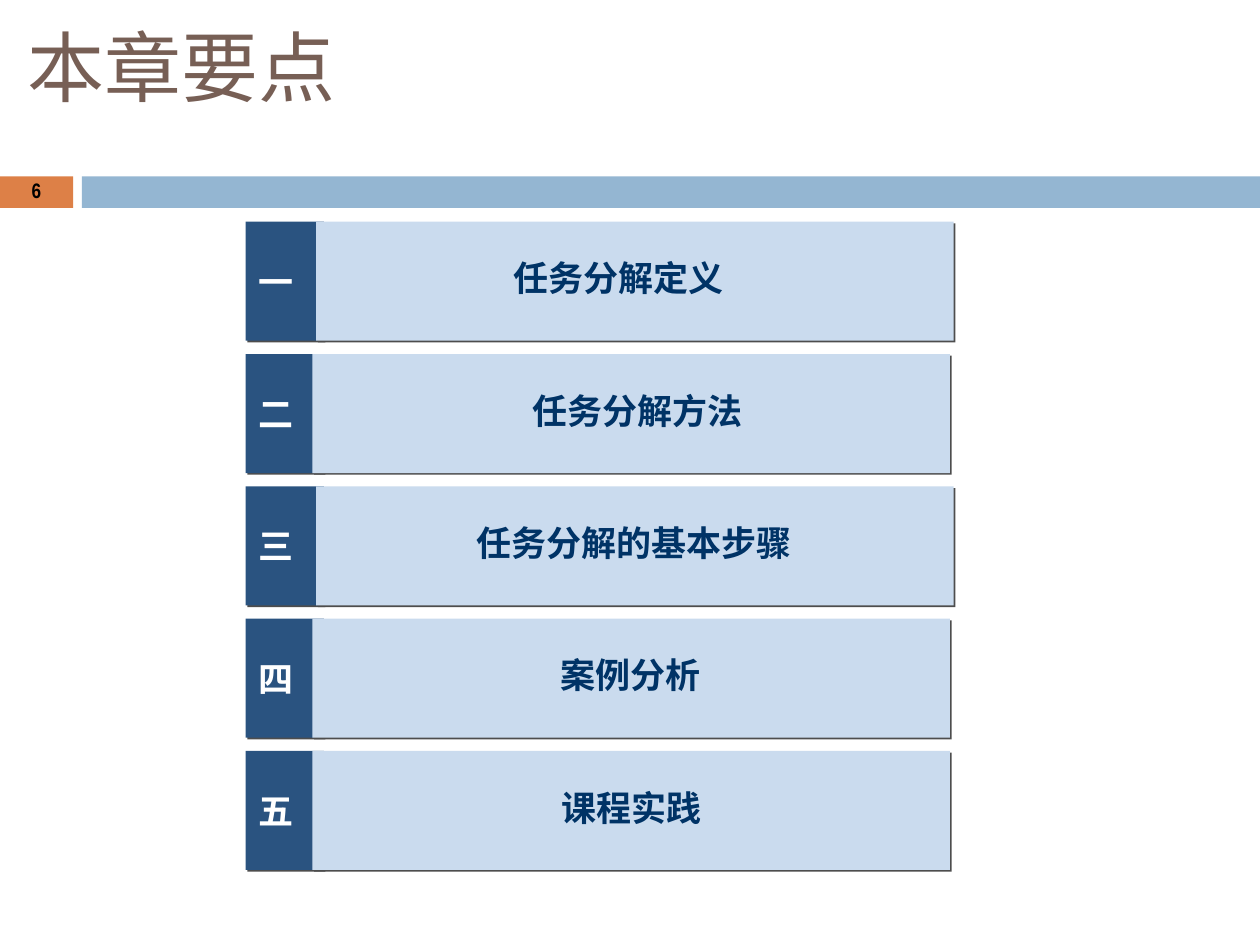
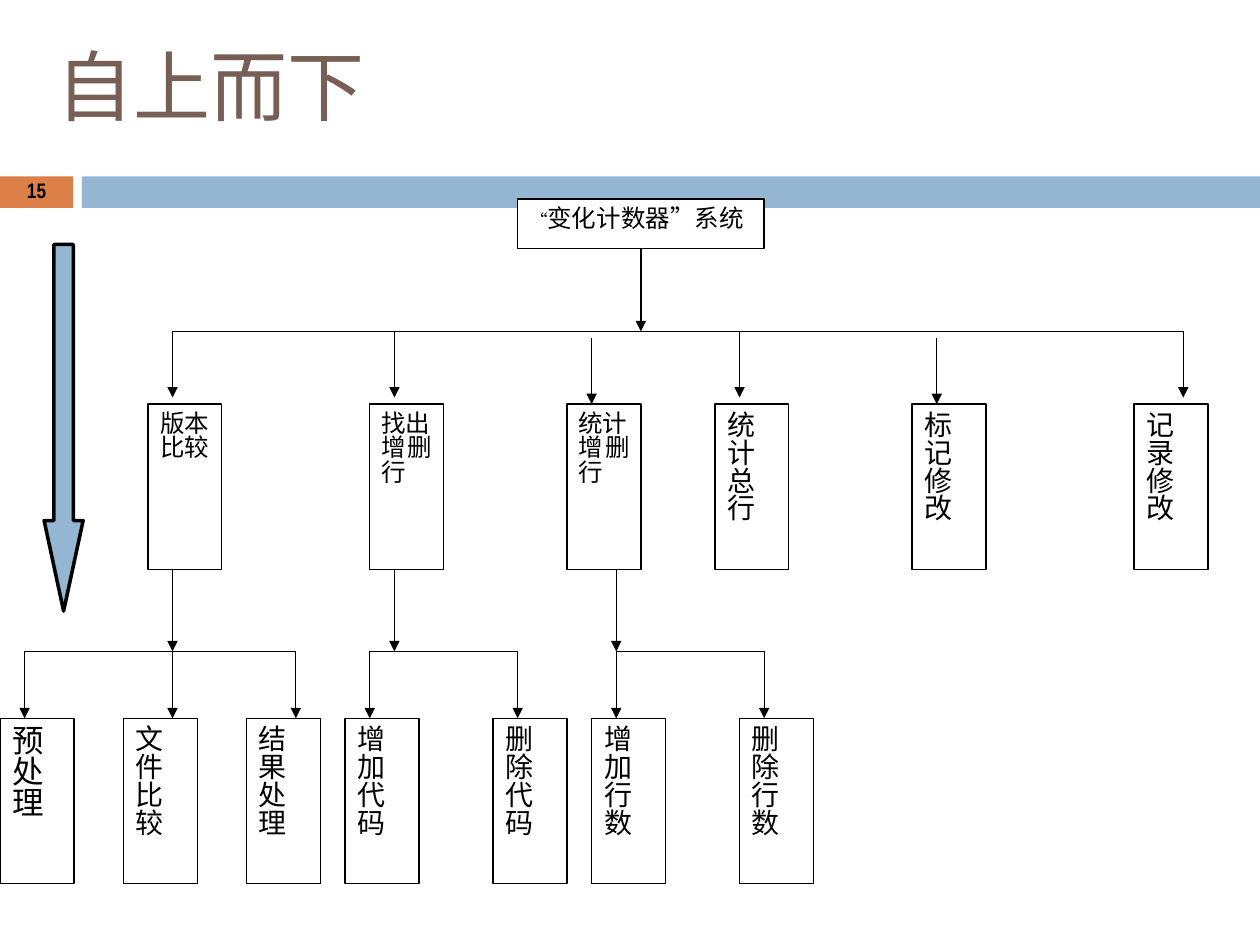
from dataclasses import dataclass

from lxml.etree import SubElement
from pptx import Presentation
from pptx.dml.color import RGBColor
from pptx.enum.shapes import MSO_CONNECTOR, MSO_SHAPE
from pptx.enum.text import MSO_ANCHOR, PP_ALIGN
from pptx.oxml.ns import qn
from pptx.util import Inches, Pt


@dataclass(frozen=True)
class Theme:
    title: str = "775F55"
    tag: str = "DD8047"
    band: str = "94B6D2"
    navy: str = "2A5380"
    pale: str = "CADBEE"
    label: str = "003366"
    shade: str = "4D4D4D"
    ink: str = "000000"
    paper: str = "FFFFFF"
    sans: str = "Noto Sans CJK SC"
    serif: str = "Times New Roman"
    narrow: str = "Arial Narrow"
    head: int = 44
    item: int = 20
    num: int = 12
    quote: int = 10
    small: int = 14
    mid: int = 16
    large: int = 18
    tight: float = 0.83


T = Theme()
WIDE, HIGH = Inches(10), Inches(7.5)

# Tree grid, in percent of the slide's size
COL, ROW, TOP = 90 / 46, 1.75, 21.07
SPAN, TALL = 3, 10
BUS, MID, FORK, LEAF = 8, 12.4, 27.35, 31.4

POINTS = [  # number, label, bar left, label left, label width
    ("一", "任务分解定义", 25.1, 25.1, 48),
    ("二", "任务分解方法", 24.8, 26.6, 48),
    ("三", "任务分解的基本步骤", 25.1, 26.7, 47.3),
    ("四", "案例分析", 24.8, 28, 44.1),
    ("五", "课程实践", 24.8, 28.1, 44.1),
]
STEPS = [  # column, paragraphs, type size, side inset
    (6, ["版本", "比较"], T.small, 0.1),
    (15, ["找出", "增删行"], T.small, 0.09),
    (23, ["统计", "增删行"], T.small, 0.09),
    (29, ["统计总行"], T.mid, 0.1),
    (37, ["标记修改"], T.mid, 0.1),
    (46, ["记录", "修改"], T.mid, 0.1),
]
LEAVES = [
    (0, ["预处理"], T.large, 0.1),
    (5, ["文件比较"], T.mid, 0.1),
    (10, ["结果处理"], T.mid, 0.1),
    (14, ["增加", "代码"], T.mid, 0.1),
    (20, ["删除代码"], T.mid, 0.1),
    (24, ["增加", "行数"], T.mid, 0.1),
    (30, ["删除", "行数"], T.mid, 0.1),
]
DROPS = [  # column, start row, end row
    (7, BUS, 12), (16, BUS, 12), (24, 8.4, MID),
    (30, BUS, 12), (38, 8.4, MID), (48, BUS, 12),
]
FORKS = [(7, [1, 7, 12]), (16, [15, 21]), (25, [25, 31])]


def spot(x, y):
    """Turn percent of the slide into lengths."""
    return int(WIDE * x / 100), int(HIGH * y / 100)


def cell(col, row, cols, rows):
    """Turn tree columns and rows into a percent frame."""
    return col * COL, TOP + row * ROW, cols * COL, rows * ROW


def shape(slide, frame, fill=None, line=None, kind=MSO_SHAPE.RECTANGLE):
    item = slide.shapes.add_shape(kind, *spot(*frame[:2]), *spot(*frame[2:]))
    item.shadow.inherit = False
    if fill:
        item.fill.solid()
        item.fill.fore_color.rgb = RGBColor.from_string(fill)
    else:
        item.fill.background()
    if line:
        item.line.color.rgb = RGBColor.from_string(T.ink)
        item.line.width = Pt(line)
    else:
        item.line.fill.background()
    return item


def shade(item):
    """Give a shape a hard shadow to the lower right."""
    list_ = item._element.spPr.find(qn("a:effectLst"))
    drop = SubElement(list_, qn("a:outerShdw"), dist=str(Pt(1.4)),
                      dir="2700000", algn="ctr", rotWithShape="0")
    SubElement(drop, qn("a:srgbClr"), val=T.shade)


def write(item, lines, size, color, face=T.sans, bold=False,
          align=PP_ALIGN.LEFT, anchor=MSO_ANCHOR.MIDDLE, wrap=True,
          pad=(0.1, 0.05), space=None):
    frame = item.text_frame
    frame.word_wrap = wrap
    frame.vertical_anchor = anchor
    frame.margin_left = frame.margin_right = Inches(pad[0])
    frame.margin_top = frame.margin_bottom = Inches(pad[1])
    frame.text = "\n".join(lines)
    for para in frame.paragraphs:
        para.alignment = align
        if space:
            para.line_spacing = space
        font = para.font
        font.size, font.bold, font.name = Pt(size), bold, face
        font.color.rgb = RGBColor.from_string(color)
        SubElement(font._element, qn("a:ea"), typeface=T.sans)
    return frame


def text(slide, frame, lines, size, color, **style):
    box = slide.shapes.add_textbox(*spot(*frame[:2]), *spot(*frame[2:]))
    write(box, lines, size, color, **style)


def link(slide, start, end, arrow=True):
    """Draw a line between two (column, row) points of the tree."""
    ends = [spot(*cell(*point, 0, 0)[:2]) for point in (start, end)]
    line = slide.shapes.add_connector(MSO_CONNECTOR.STRAIGHT, *ends[0], *ends[1])
    line.line.color.rgb = RGBColor.from_string(T.ink)
    line.line.width = Pt(0.75)
    if arrow:
        SubElement(line.line._get_or_add_ln(), qn("a:tailEnd"), type="triangle")
    SubElement(line._element.spPr, qn("a:effectLst"))
    return line


def node(slide, frame, lines, size, side=0.1):
    box = shape(slide, frame, T.paper, 0.75)
    write(box, lines, size, T.ink, face=T.serif, align=PP_ALIGN.JUSTIFY,
          anchor=MSO_ANCHOR.TOP, pad=(side, 0.07), space=T.tight)
    return box


def page(deck, title, left, top, number):
    """Start a slide with its band, title and number."""
    slide = deck.slides.add_slide(deck.slide_layouts[6])
    shape(slide, (0, 18.67, 5.8, 3.33), T.tag)
    shape(slide, (6.5, 18.67, 93.5, 3.33), T.band)
    text(slide, (left, top, 85, 16.67), [title], T.head, T.title,
         anchor=MSO_ANCHOR.TOP, pad=(0.1, 0.1), space=T.tight)
    text(slide, (0, 18.53, 5.8, 3.6), [number], T.num, T.ink, face=T.narrow,
         bold=True, align=PP_ALIGN.CENTER, space=0.8)
    return slide


def agenda(deck):
    slide = page(deck, "本章要点", 1.2, 2.4, "6")
    for row, (mark, label, bar, left, width) in enumerate(POINTS):
        top = 23.47 + 14 * row
        tab = shape(slide, (19.5, top, 6.2, 12.6), T.navy)
        shade(tab)
        write(tab, [mark], T.item, T.paper, bold=True, wrap=False)
        shade(shape(slide, (bar, top, 50.6, 12.6), T.pale))
        plate = shape(slide, (left, top + 1.4, width, 9.07),
                      kind=MSO_SHAPE.ROUNDED_RECTANGLE)
        write(plate, [label], T.item, T.label, bold=True, wrap=False,
              align=PP_ALIGN.CENTER)


def tree(deck):
    slide = page(deck, "自上而下", 3.5, 4.4, "15")

    # Root and the bus below it
    root = node(slide, cell(21, 0, 10, 3), [""], T.small)
    para = root.text_frame.paragraphs[0]
    for part, size in (("“", T.quote), ("变化计数器”系统", T.small)):
        run = para.add_run()
        run.text, run.font.size = part, Pt(size)
    link(slide, (7, BUS), (48, BUS), arrow=False)
    link(slide, (26, 3), (26, BUS)).begin_connect(root, 2)

    # Steps and leaves
    for row, nodes in ((MID, STEPS), (LEAF, LEAVES)):
        for col, lines, size, side in nodes:
            node(slide, cell(col, row, SPAN, TALL), lines, size, side)

    # Arrows between the levels
    for col, start, end in DROPS:
        link(slide, (col, start), (col, end))
    for stem, tips in FORKS:
        link(slide, (stem, MID + TALL), (stem, FORK))
        link(slide, (tips[0], FORK), (tips[-1], FORK), arrow=False)
        for col in tips:
            link(slide, (col, FORK), (col, LEAF))

    # Direction of work
    arrow = shape(slide, (3.5, 25.87, 3.1, 38.8), T.band, 2,
                  MSO_SHAPE.DOWN_ARROW)
    arrow.adjustments[0], arrow.adjustments[1] = 0.5, 2.32


def main():
    deck = Presentation()
    deck.slide_width, deck.slide_height = WIDE, HIGH
    agenda(deck)
    tree(deck)
    deck.save("out.pptx")


if __name__ == "__main__":
    main()
